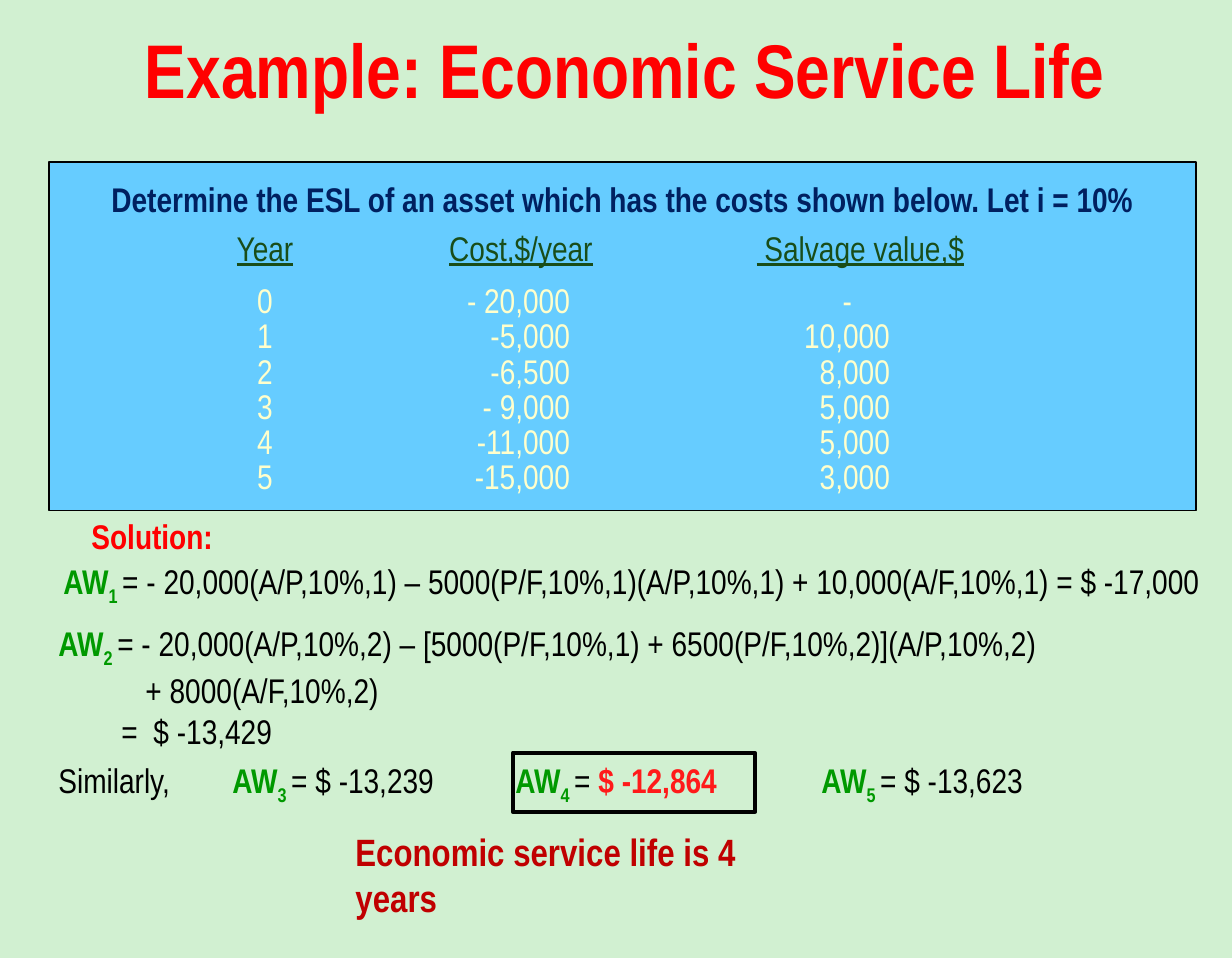
"""Builds the economic service life example slide."""
import dataclasses
import pptx
import pptx.dml.color
import pptx.enum.shapes
import pptx.enum.text
import pptx.oxml
import pptx.oxml.ns
import pptx.util

SCALE = 914400 / 136.9
ALIGN = pptx.enum.text.PP_ALIGN
ANCHOR = pptx.enum.text.MSO_ANCHOR
PLAIN = "{2D5ABB26-0587-4C30-8999-92F81FD0307C}"


@dataclasses.dataclass(frozen=True)
class Theme:
    font: str = "Arial Narrow"
    back: str = "D1F0D1"
    panel: str = "66CCFF"
    ink: str = "000000"
    red: str = "FF0000"
    best: str = "FF1A1A"
    dark: str = "C00000"
    navy: str = "002060"
    green: str = "009900"
    head: str = "194D19"
    cream: str = "FFFFCC"
    title: int = 40
    large: int = 20
    body: int = 18


THEME = Theme()
COSTS = [
    ("Year", "Cost,$/year", " Salvage value,$"),
    ("0", "- 20,000", "-"),
    ("1", "-5,000", "10,000"),
    ("2", "-6,500", "8,000"),
    ("3", "- 9,000", "5,000"),
    ("4", "-11,000", "5,000"),
    ("5", "-15,000", "3,000"),
]


def px(size):
    return pptx.util.Emu(round(size * SCALE))


def rgb(code):
    return pptx.dml.color.RGBColor.from_string(code)


def add_run(para, text, color=THEME.ink, size=THEME.body, bold=False, line=False, sub=False):
    run = para.add_run()
    run.text = text
    font = run.font
    font.name, font.size = THEME.font, pptx.util.Pt(size)
    font.bold, font.underline = bold, line
    font.color.rgb = rgb(color)
    if sub:
        run._r.get_or_add_rPr().set("baseline", "-25000")


def add_worth(para, year, value, color=THEME.ink, bold=False):
    add_run(para, "AW", THEME.green, bold=True)
    add_run(para, f"{year} ", THEME.green, bold=True, sub=True)
    add_run(para, "= ")
    add_run(para, value, color, bold=bold)


def add_box(slide, left, top, width, height):
    frame = slide.shapes.add_textbox(px(left), px(top), px(width), px(height)).text_frame
    frame.word_wrap = True
    return frame


def add_label(slide, box, text, color, size=THEME.body, align=ALIGN.LEFT):
    frame = add_box(slide, *box)
    frame.vertical_anchor = ANCHOR.MIDDLE if align == ALIGN.CENTER else ANCHOR.TOP
    para = frame.paragraphs[0]
    para.alignment = align
    add_run(para, text, color, size, bold=True)


def add_rect(slide, box, width, fill=None):
    kind = pptx.enum.shapes.MSO_SHAPE.RECTANGLE
    rect = slide.shapes.add_shape(kind, *map(px, box))
    rect.shadow.inherit = False
    if fill:
        rect.fill.solid()
        rect.fill.fore_color.rgb = rgb(fill)
    else:
        rect.fill.background()
    rect.line.color.rgb = rgb(THEME.ink)
    rect.line.width = pptx.util.Pt(width)


def set_tabs(para, stops):
    props = para._p.get_or_add_pPr()
    tabs = pptx.oxml.parse_xml(f"<a:tabLst {pptx.oxml.ns.nsdecls('a')}/>")
    for stop in stops:
        tab = tabs.makeelement(pptx.oxml.ns.qn("a:tab"), {"pos": str(px(stop)), "algn": "l"})
        tabs.append(tab)
    props.append(tabs)


def add_costs(slide):
    widths, heights, pads = (120, 392, 287), [52] + [35.2] * 6, (0, 147, 114)
    area = (205, 235, sum(widths), sum(heights))
    frame = slide.shapes.add_table(len(COSTS), len(widths), *map(px, area))
    table = frame.table
    table._tbl.tblPr.find(pptx.oxml.ns.qn("a:tableStyleId")).text = PLAIN
    table.first_row = table.horz_banding = False
    for column, width in zip(table.columns, widths):
        column.width = px(width)
    for row, height, texts in zip(table.rows, heights, COSTS):
        row.height = px(height)
        head = texts is COSTS[0]
        for cell, text, pad in zip(row.cells, texts, pads):
            cell.fill.background()
            cell.margin_left = cell.margin_top = cell.margin_bottom = 0
            dash = 38 if text == "-" else 0
            cell.margin_right = 0 if head else px(pad + dash)
            para = cell.text_frame.paragraphs[0]
            para.alignment = ALIGN.RIGHT if pad and not head else ALIGN.CENTER
            para.line_spacing = pptx.util.Pt(THEME.body)
            add_run(para, text, THEME.head if head else THEME.cream, line=head)


def add_steps(slide):
    first = add_box(slide, 50, 554, 1182, 55).paragraphs[0]
    add_worth(first, 1, "- 20,000(A/P,10%,1) – 5000(P/F,10%,1)(A/P,10%,1)"
              " + 10,000(A/F,10%,1) = $ -17,000")
    frame = add_box(slide, 45, 616, 1175, 140)
    add_worth(frame.paragraphs[0], 2, "- 20,000(A/P,10%,2) –"
              " [5000(P/F,10%,1) + 6500(P/F,10%,2)](A/P,10%,2)")
    for text, indent in (("+ 8000(A/F,10%,2)", 87), ("=  $ -13,429", 63)):
        para = frame.add_paragraph()
        para._p.get_or_add_pPr().set("marL", str(px(indent)))
        add_run(para, text)


def add_rest(slide):
    para = add_box(slide, 45, 753, 1095, 55).paragraphs[0]
    set_tabs(para, (174, 457, 763))
    add_run(para, "Similarly,")
    worths = (
        (3, "$ -13,239", THEME.ink, False),
        (4, "$ -12,864", THEME.best, True),
        (5, "$ -13,623", THEME.ink, False),
    )
    for worth in worths:
        add_run(para, "\t")
        add_worth(para, *worth)


def main():
    deck = pptx.Presentation()
    deck.slide_width, deck.slide_height = pptx.util.Inches(9), pptx.util.Inches(7)
    slide = deck.slides.add_slide(deck.slide_layouts[6])
    slide.background.fill.solid()
    slide.background.fill.fore_color.rgb = rgb(THEME.back)
    add_label(slide, (37, 11, 1175, 114), "Example: Economic Service Life",
              THEME.red, THEME.title, ALIGN.CENTER)
    add_rect(slide, (49, 162, 1147, 349), 0.75, THEME.panel)
    add_label(slide, (98, 172, 1080, 55), "Determine the ESL of an asset which has"
              " the costs shown below. Let i = 10%", THEME.navy)
    add_costs(slide)
    add_steps(slide)
    add_rest(slide)
    add_label(slide, (342, 822, 490, 60), "Economic service life is 4 years",
              THEME.dark, THEME.large)
    add_rect(slide, (513, 753, 242, 59), 2.25)
    add_label(slide, (78, 509, 151, 55), "Solution:", THEME.red)
    deck.save("out.pptx")


main()
